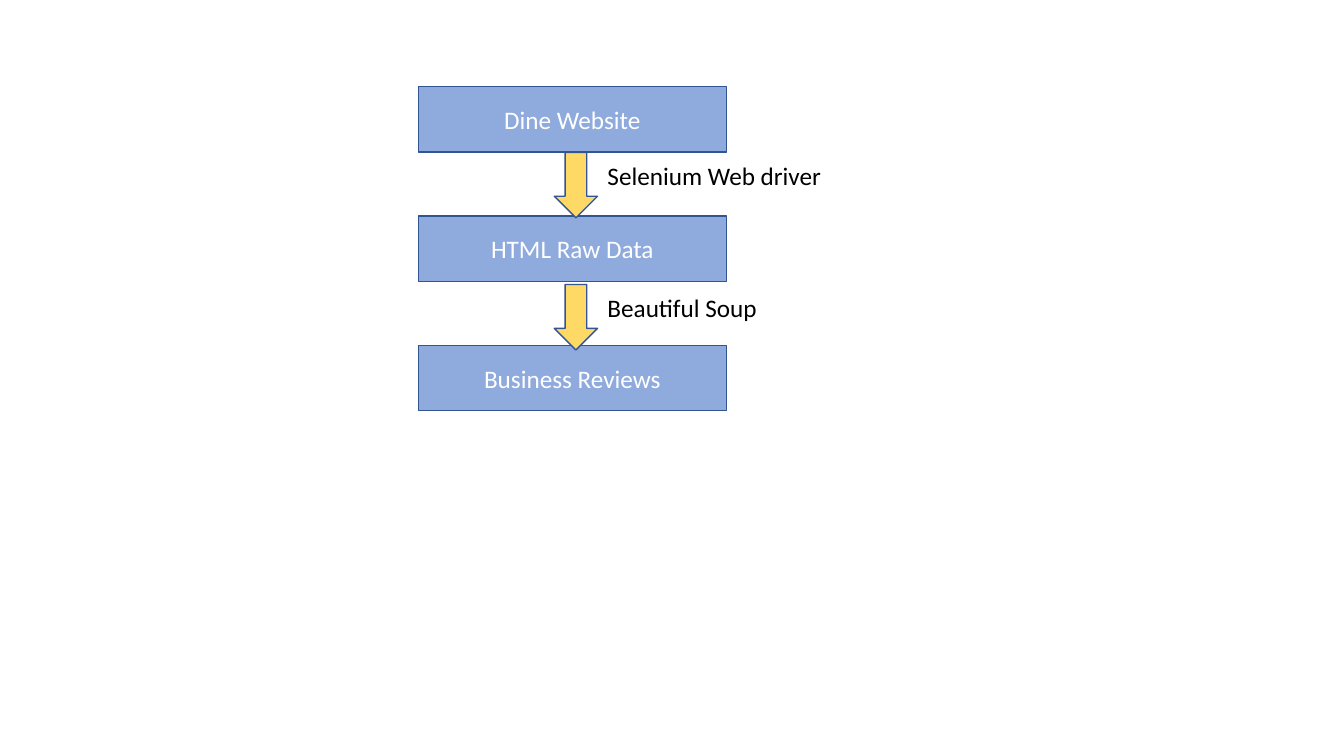
from pptx import Presentation
from pptx.dml.color import RGBColor
from pptx.enum import shapes, text
from pptx.util import Cm, Pt

# Content: the stages and the tool that leads from each to the next
STAGES = ["Dine Website", "HTML Raw Data", "Business Reviews"]
TOOLS = ["Selenium Web driver", "Beautiful Soup"]

# Layout in centimetres
STAGE_LEFT, STAGE_TOP, STAGE_WIDTH, STAGE_PITCH = 10.54, 2.18, 7.77, 3.26
STEP_HEIGHT = 1.65  # shared by stages and arrows
ARROW_LEFT, ARROW_TOP, ARROW_WIDTH, ARROW_PITCH = 13.97, 3.84, 1.09, 3.33
TOOL_WIDTH, TOOL_HEIGHT, TOOL_DROP = 9.32, 1.02, 0.07


def color(value):
    return RGBColor.from_string(value)


def write(shape, words, ink, align):
    frame = shape.text_frame
    frame.word_wrap = True
    paragraph = frame.paragraphs[0]
    paragraph.text = words
    paragraph.alignment = align
    paragraph.font.name = "Calibri"
    paragraph.font.size = Pt(18)
    paragraph.font.color.rgb = color(ink)
    return frame


def add_block(slide, preset, left, top, width, fill):
    block = slide.shapes.add_shape(
        preset, Cm(left), Cm(top), Cm(width), Cm(STEP_HEIGHT))
    block.shadow.inherit = False
    block.fill.solid()
    block.fill.fore_color.rgb = color(fill)
    block.line.color.rgb = color("325491")
    block.line.width = Pt(1)
    return block


def main():
    deck = Presentation()
    deck.slide_width, deck.slide_height = Cm(33.87), Cm(19.05)
    slide = deck.slides.add_slide(deck.slide_layouts[6])

    # Stages
    for i, name in enumerate(STAGES):
        stage = add_block(slide, shapes.MSO_SHAPE.RECTANGLE, STAGE_LEFT,
                          STAGE_TOP + i * STAGE_PITCH, STAGE_WIDTH, "8FAADC")
        frame = write(stage, name, "FFFFFF", text.PP_ALIGN.CENTER)
        frame.vertical_anchor = text.MSO_ANCHOR.MIDDLE

    # Arrows with their tools
    for i, name in enumerate(TOOLS):
        top = ARROW_TOP + i * ARROW_PITCH
        add_block(slide, shapes.MSO_SHAPE.DOWN_ARROW, ARROW_LEFT, top,
                  ARROW_WIDTH, "FFD966")
        tool = slide.shapes.add_textbox(
            Cm(ARROW_LEFT + ARROW_WIDTH), Cm(top + TOOL_DROP),
            Cm(TOOL_WIDTH), Cm(TOOL_HEIGHT))
        frame = write(tool, name, "000000", text.PP_ALIGN.LEFT)
        frame.auto_size = text.MSO_AUTO_SIZE.SHAPE_TO_FIT_TEXT

    deck.save("out.pptx")


if __name__ == "__main__":
    main()
